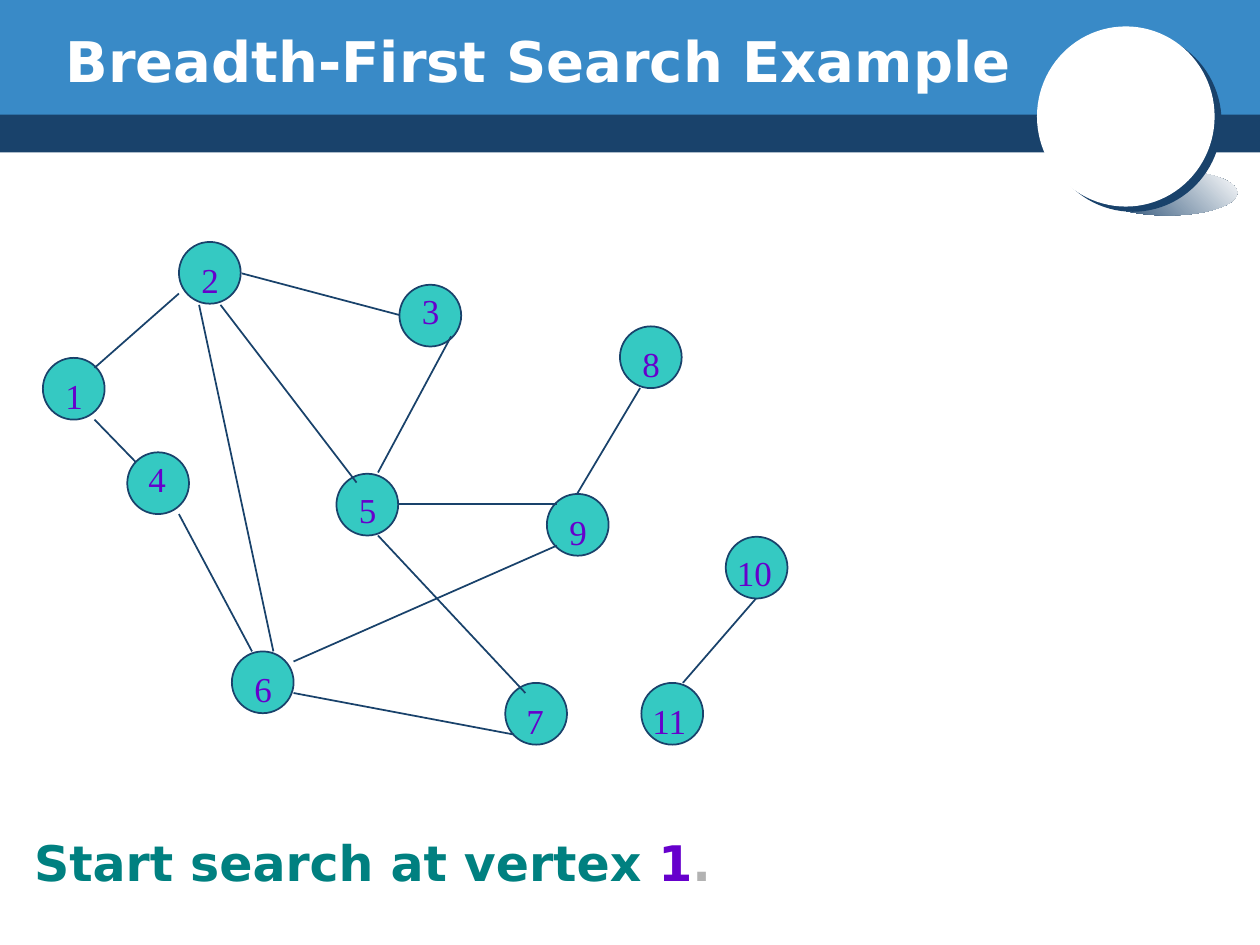
from dataclasses import dataclass

from lxml import etree
from pptx import Presentation
from pptx import util as u
from pptx.dml import color as c
from pptx.enum import shapes, text
from pptx.oxml import ns

NAVY = c.RGBColor(0x19, 0x42, 0x6B)
BLUE = c.RGBColor(0x39, 0x8A, 0xC7)
WHITE = c.RGBColor(0xFF, 0xFF, 0xFF)
AQUA = c.RGBColor(0x35, 0xC9, 0xC2)
TEAL = c.RGBColor(0x00, 0x80, 0x80)
PURPLE = c.RGBColor(0x66, 0x00, 0xCC)
GRAY = c.RGBColor(0xB2, 0xB2, 0xB2)
SANS = "DejaVu Sans"
SERIF = "Times New Roman"
RECT = shapes.MSO_SHAPE.RECTANGLE
OVAL = shapes.MSO_SHAPE.OVAL
SIZE = 0.49


@dataclass
class Node:
    tag: str
    left: float
    top: float
    label_x: float
    label_y: float
    width: float = 0.25


@dataclass
class Edge:
    x1: float
    y1: float
    x2: float
    y2: float


NODES = [
    Node("1", 0.34, 2.84, 0.42, 2.92),
    Node("2", 1.42, 1.92, 1.5, 2),
    Node("3", 3.17, 2.26, 3.25, 2.25),
    Node("4", 1.01, 3.59, 1.08, 3.58),
    Node("5", 2.67, 3.76, 2.75, 3.83),
    Node("6", 1.84, 5.17, 1.92, 5.25),
    Node("7", 4.01, 5.42, 4.08, 5.5),
    Node("8", 4.92, 2.59, 5, 2.67),
    Node("9", 4.34, 3.92, 4.42, 4),
    Node("10", 5.76, 4.26, 5.75, 4.33, 0.5),
    Node("11", 5.09, 5.42, 5.08, 5.5, 0.83),
]
EDGES = [
    Edge(1.42, 2.33, 0.75, 2.92),
    Edge(1.75, 2.42, 2.83, 3.83),
    Edge(0.75, 3.33, 1.08, 3.67),
    Edge(1.42, 4.08, 2, 5.17),
    Edge(2.33, 5.5, 4.08, 5.83),
    Edge(3.58, 2.67, 3, 3.75),
    Edge(3, 4.25, 4.17, 5.5),
    Edge(5.08, 3.08, 4.58, 3.92),
    Edge(5.42, 5.42, 6, 4.75),
    Edge(3.17, 4, 4.42, 4),
    Edge(1.92, 2.17, 3.17, 2.5),
    Edge(1.58, 2.42, 2.17, 5.17),
    Edge(2.33, 5.25, 4.42, 4.33),
]


def place(shape, left: float, top: float, width: float, height: float) -> None:
    shape.left, shape.top = u.Inches(left), u.Inches(top)
    shape.width, shape.height = u.Inches(width), u.Inches(height)


def style(font, name: str, size: float, color: c.RGBColor, bold: bool = False) -> None:
    font.name, font.size, font.bold = name, u.Pt(size), bold
    font.color.rgb = color


def add_form(slide, kind, left: float, top: float, width: float, height: float,
             color: c.RGBColor):
    form = slide.shapes.add_shape(kind, 0, 0, 0, 0)
    place(form, left, top, width, height)
    form.shadow.inherit = False
    form.fill.solid()
    form.fill.fore_color.rgb = color
    form.line.fill.background()
    return form


def add_banner(slide) -> None:
    add_form(slide, RECT, 0, 0.87, 10, 0.34, NAVY)
    add_form(slide, RECT, 0, 0, 10, 0.91, BLUE)
    shade = add_form(slide, OVAL, 8.71, 1.35, 1.11, 0.36, NAVY)
    shade.fill.gradient()
    shade.fill.gradient_angle = 45
    for stop, color in zip(shade.fill.gradient_stops, (NAVY, WHITE)):
        stop.color.rgb = color
    ball = add_form(slide, OVAL, 8.23, 0.21, 1.41, 1.43, WHITE)
    effects = ball.element.spPr.find(ns.qn("a:effectLst"))
    drop = etree.SubElement(effects, ns.qn("a:outerShdw"), blurRad="0",
                            dist=str(u.Pt(5)), dir=str(37 * 60000),
                            algn="ctr", rotWithShape="0")
    etree.SubElement(drop, ns.qn("a:srgbClr"), val=str(NAVY))


def add_node(slide, node: Node) -> None:
    disk = add_form(slide, OVAL, node.left, node.top, SIZE, SIZE, AQUA)
    disk.line.color.rgb = NAVY
    disk.line.width = u.Pt(1)


def add_edge(slide, edge: Edge) -> None:
    line = slide.shapes.add_connector(
        shapes.MSO_CONNECTOR.STRAIGHT, u.Inches(edge.x1), u.Inches(edge.y1),
        u.Inches(edge.x2), u.Inches(edge.y2))
    line.line.color.rgb = NAVY
    line.line.width = u.Pt(1)
    etree.SubElement(line.element.spPr, ns.qn("a:effectLst"))


def add_label(slide, node: Node) -> None:
    box = slide.shapes.add_textbox(0, 0, 0, 0)
    place(box, node.label_x, node.label_y, node.width, 0.43)
    frame = box.text_frame
    frame.text = node.tag
    frame.word_wrap = True
    frame.auto_size = text.MSO_AUTO_SIZE.SHAPE_TO_FIT_TEXT
    style(frame.paragraphs[0].runs[0].font, SERIF, 20, PURPLE)


def fill_title(title) -> None:
    place(title, 0.42, 0.17, 8.08, 0.62)
    frame = title.text_frame
    frame.text = "Breadth-First Search Example"
    frame.auto_size = text.MSO_AUTO_SIZE.NONE
    frame.vertical_anchor = text.MSO_ANCHOR.MIDDLE
    line = frame.paragraphs[0]
    line.alignment = text.PP_ALIGN.LEFT
    style(line.runs[0].font, SANS, 32, WHITE, True)


def fill_body(body) -> None:
    place(body, 0.17, 6.56, 8.5, 0.78)
    frame = body.text_frame
    frame.auto_size = text.MSO_AUTO_SIZE.NONE
    frame.vertical_anchor = text.MSO_ANCHOR.TOP
    line = frame.paragraphs[0]
    props = line._p.get_or_add_pPr()
    props.set("marL", str(u.Inches(0.38)))
    props.set("indent", str(u.Inches(-0.38)))
    etree.SubElement(props, ns.qn("a:buNone"))
    line.space_before = u.Pt(0)
    for part, color in (("Start search at vertex ", TEAL), ("1", PURPLE), (".", GRAY)):
        run = line.add_run()
        run.text = part
        style(run.font, SANS, 28, color, True)


def main() -> None:
    deck = Presentation()
    deck.slide_width, deck.slide_height = u.Inches(10), u.Inches(7.5)
    slide = deck.slides.add_slide(deck.slide_layouts[1])
    title, body = slide.placeholders
    add_banner(slide)
    for holder, fill in ((title, fill_title), (body, fill_body)):
        fill(holder)
        slide.shapes.element.append(holder.element)
    for draw, items in ((add_node, NODES), (add_edge, EDGES), (add_label, NODES)):
        for item in items:
            draw(slide, item)
    deck.save("out.pptx")


if __name__ == "__main__":
    main()
